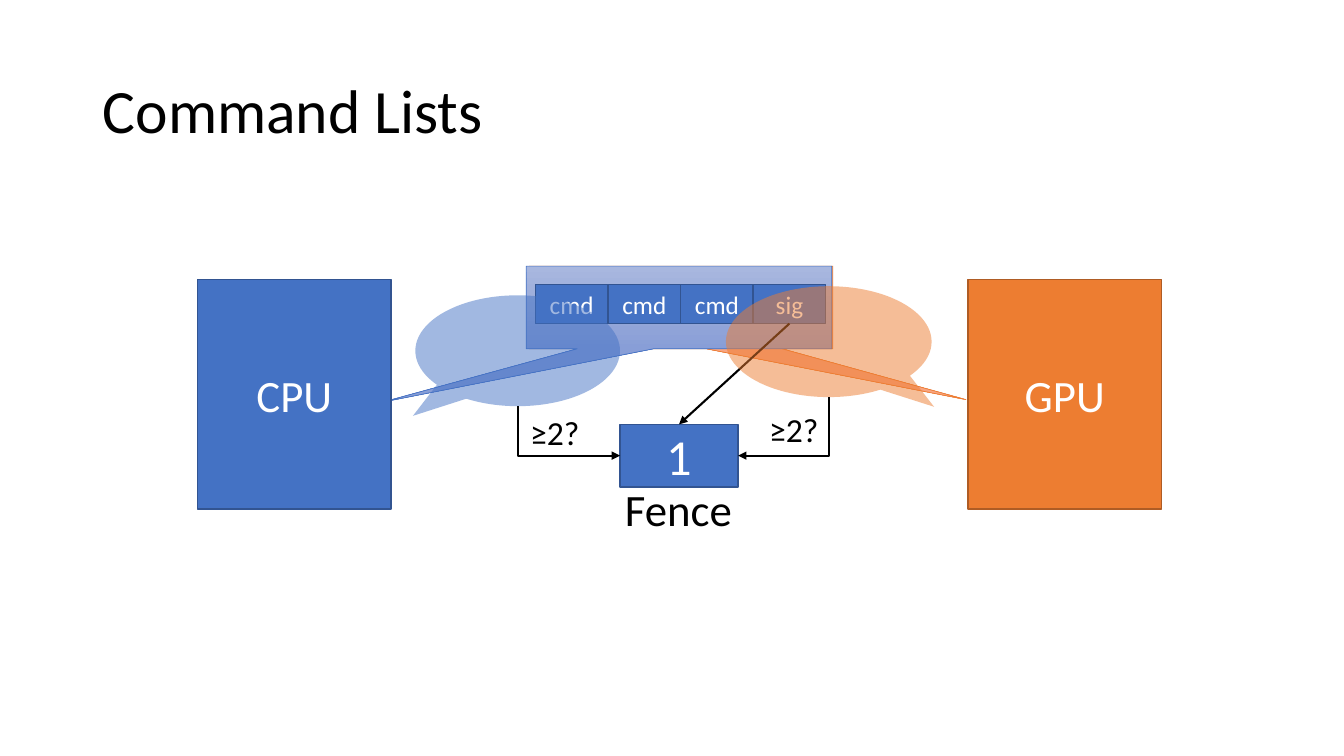
from copy import deepcopy

from lxml.etree import SubElement
from pptx import Presentation
from pptx.dml.color import RGBColor
from pptx.enum.shapes import MSO_CONNECTOR, MSO_SHAPE
from pptx.enum.text import MSO_ANCHOR, MSO_AUTO_SIZE, PP_ALIGN
from pptx.oxml.ns import qn
from pptx.util import Emu, Pt

PX = 9144
BLUE, ORANGE, BLACK, WHITE = "4472C4", "ED7D31", "000000", "FFFFFF"
EDGES = {BLUE: "325491", ORANGE: "AF5C24"}


def px(*values):
    return [Emu(round(v * PX)) for v in values]


def color(value):
    return RGBColor.from_string(value)


def write(sp, text, size, fill, align, **frame):
    tf = sp.text_frame
    for name, value in frame.items():
        setattr(tf, name, value)
    p = tf.paragraphs[0]
    p.alignment = align
    r = p.add_run()
    r.text = text
    for name, value in {"size": Pt(size), "name": "Calibri"}.items():
        setattr(r.font, name, value)
    r.font.color.rgb = color(fill)
    return p


def shape(s, kind, box, adjustments=()):
    sp = s.shapes.add_shape(kind, *px(*box))
    sp.shadow.inherit = False
    for i, value in enumerate(adjustments):
        sp.adjustments[i] = value
    return sp


def block(s, box, text, size, fill=BLUE):
    sp = shape(s, MSO_SHAPE.RECTANGLE, box)
    sp.fill.solid()
    sp.fill.fore_color.rgb = color(fill)
    sp.line.color.rgb = color(EDGES[fill])
    sp.line.width = Pt(1)
    write(sp, text, size, WHITE, PP_ALIGN.CENTER, vertical_anchor=MSO_ANCHOR.MIDDLE)
    return sp


def label(s, box, text, size):
    sp = s.shapes.add_textbox(*px(*box))
    write(sp, text, size, BLACK, PP_ALIGN.LEFT, word_wrap=False,
          auto_size=MSO_AUTO_SIZE.SHAPE_TO_FIT_TEXT)


def arrow(s, kind, start, end):
    c = s.shapes.add_connector(kind, *px(*start, *end))
    c.line.color.rgb = color(BLACK)
    c.line.width = Pt(1.5)
    SubElement(c.line._get_or_add_ln(), qn("a:tailEnd"), type="triangle")
    SubElement(c._element.spPr, qn("a:effectLst"))
    return c


def elbow(s, start, end):
    (x1, y1), (x2, y2) = start, end
    cx, cy = (x1 + x2) / 2, (y1 + y2) / 2
    half_w, half_h = abs(y2 - y1) / 2, abs(x2 - x1) / 2
    side = 1 if x2 > x1 else -1
    c = arrow(s, MSO_CONNECTOR.ELBOW, (cx + side * half_w, cy - half_h),
              (cx - side * half_w, cy + half_h))
    spPr = c._element.spPr
    spPr.find(qn("a:prstGeom")).set("prst", "bentConnector2")
    spPr.find(qn("a:xfrm")).set("rot", str((270 if side > 0 else 90) * 60000))


def title(s, box, text):
    sp = s.shapes.title
    for name, value in zip(("left", "top", "width", "height"), px(*box)):
        setattr(sp, name, value)
    p = write(sp, text, 44, BLACK, PP_ALIGN.LEFT, vertical_anchor=MSO_ANCHOR.MIDDLE)
    p.line_spacing = 0.9


def list_callout(s, box, tip, line, stops):
    sp = shape(s, MSO_SHAPE.RECTANGULAR_CALLOUT, box, tip)
    sp.fill.gradient()
    sp.fill.gradient_angle = 270
    gs = sp._element.spPr.find(".//" + qn("a:gsLst"))
    gs.insert(1, deepcopy(gs[0]))
    for stop, value, position in zip(sp.fill.gradient_stops, stops, (0, 0.5, 1)):
        stop.color.rgb = color(value)
        stop.position = position
    sp.line.color.rgb = color(line)
    sp.line.width = Pt(0.5)


def command_list(s, box):
    x, y, w, h = box
    list_callout(s, (x + 3, y, w - 2, h), (0.939, 1.115), ORANGE,
                 ("F7BDA5", "F5B196", "F8A582"))
    list_callout(s, box, (-0.969, 1.144), BLUE, ("A8B7DF", "9AABD9", "889ED7"))
    cells = [block(s, (x + 9 + 72 * i, y + 18, 72, 39), text, 18)
             for i, text in enumerate(("cmd", "cmd", "cmd", "sig"))]
    return cells[-1]


def fence(s, box):
    x, y, w, h = box
    label(s, (x - 5, y + 52, 127, 64), "Fence", 32)
    return block(s, box, "1", 36)


def check(s, box, fill, tip_x, end, label_x):
    x, y, w, h = box
    sp = shape(s, MSO_SHAPE.OVAL_CALLOUT, box, (tip_x, 0.587))
    sp.fill.solid()
    sp.fill.fore_color.rgb = color(fill)
    SubElement(sp._element.spPr.find(".//" + qn("a:srgbClr")), qn("a:alpha"), val="50000")
    sp.line.fill.background()
    elbow(s, (x + w / 2, y + h), end)
    label(s, (label_x, end[1] - 48 + (y - 293) // 3, 70, 50), "≥2?", 24)


def command_slide(prs):
    s = prs.slides.add_slide(prs.slide_layouts[5])
    title(s, (92, 40, 1150, 145), "Command Lists")
    x, y, w, h = fence_box = (615, 421, 117, 62)
    counter = fence(s, fence_box)
    signal = command_list(s, (522, 264, 303, 82))
    for left, text, fill in ((196, "CPU", BLUE), (960, "GPU", ORANGE)):
        block(s, (left, 277, 192, 228), text, 32, fill)
    c = arrow(s, MSO_CONNECTOR.STRAIGHT, (783, 321), (674, 421))
    c.begin_connect(signal, 2)
    c.end_connect(counter, 0)
    middle = y + h // 2
    check(s, (412, 293, 203, 110), BLUE, -0.512, (x, middle), 516)
    check(s, (720, 284, 204, 110), ORANGE, 0.512, (x + w, middle), 753)


def main():
    prs = Presentation()
    prs.slide_width, prs.slide_height = px(1333, 750)
    command_slide(prs)
    prs.save("out.pptx")


if __name__ == "__main__":
    main()
